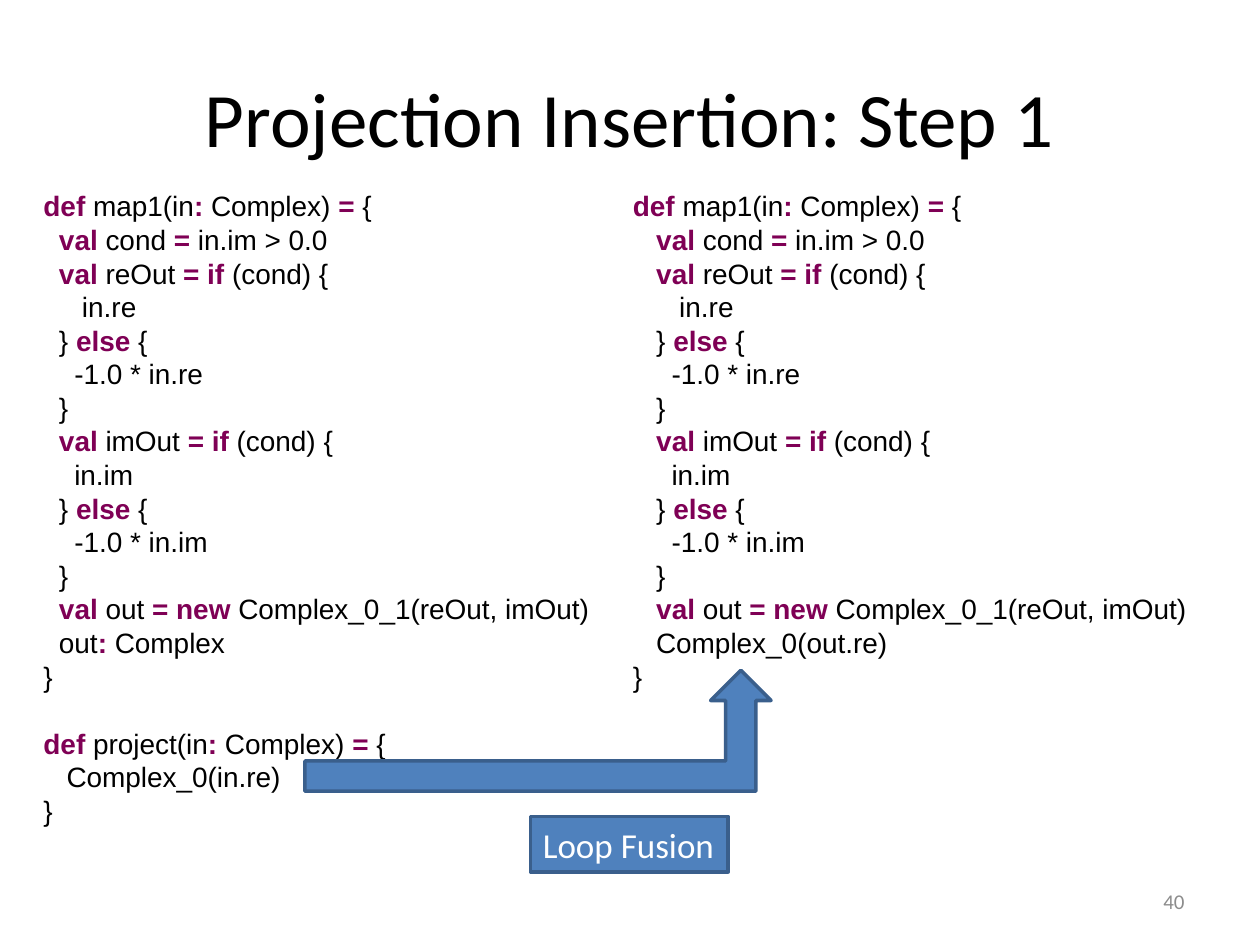
from pptx import Presentation
from pptx import util as u
from pptx.dml.color import RGBColor
from pptx.enum import shapes, text

TITLE = "Projection Insertion: Step 1"
NUMBER = "40"
LABEL = "Loop Fusion"
MARK = "|"

HEAD = "|def |map1(in|:| Complex) |=| {"
BODY = [
    "      |val |cond |=| in.im > 0.0",
    "      |val |reOut |= if| (cond) {",
    "         in.re",
    "      } |else |{",
    "        -1.0 * in.re",
    "      }",
    "      |val |imOut |= if| (cond) {",
    "        in.im",
    "      } |else |{",
    "        -1.0 * in.im",
    "      }",
    "      |val| out |= new| Complex_0_1(reOut, imOut)",
]
MAP = ["    " + HEAD, *BODY, "      out|: |Complex", "    }"]
PROJECT = [
    "    |def |project(in|:| Complex) |=| {",
    "       Complex_0(in.re)",
    "    }",
]
FUSED = ["   " + HEAD, *BODY, "      Complex_0(out.re)", "   }"]

LISTINGS = [
    ((0, 1.45, 4.85, 5.42), [MAP, PROJECT]),
    ((4.74, 1.45, 4.85, 4.21), [FUSED]),
]

THEME = {
    "title": {"name": "Calibri", "size": 44, "color": "000000"},
    "number": {"name": "Calibri", "size": 12, "color": "8C8C8C"},
    "code": {"name": "Arial", "size": 16, "color": "000000", "bold": False},
    "keyword": {"name": "Arial", "size": 16, "color": "7F0055", "bold": True},
    "label": {"name": "Calibri", "size": 20, "color": "FFFFFF"},
    "fill": "4F81BD",
    "line": "3A5F8C",
    "line_width": 2,
    "code_pitch": 19.2,
}


def add_run(p, words, style):
    r = p.add_run()
    r.text = words
    for key, value in THEME[style].items():
        if key == "color":
            r.font.color.rgb = RGBColor.from_string(value)
        else:
            setattr(r.font, key, u.Pt(value) if key == "size" else value)


def add_box(s, at):
    tf = s.shapes.add_textbox(*map(u.Inches, at)).text_frame
    tf.word_wrap = True
    return tf


def add_line(s, at, words, style, align):
    tf = add_box(s, at)
    tf.vertical_anchor = text.MSO_ANCHOR.MIDDLE
    p = tf.paragraphs[0]
    p.alignment = align
    add_run(p, words, style)


def add_listing(s, at, functions):
    tf = add_box(s, at)
    pitch = u.Pt(THEME["code_pitch"])
    for f, lines in enumerate(functions):
        for n, line in enumerate(lines):
            p = tf.add_paragraph() if f or n else tf.paragraphs[0]
            p.line_spacing = pitch
            p.space_before = pitch if f and not n else u.Pt(0)
            for i, part in enumerate(line.split(MARK)):
                if part:
                    add_run(p, part, "keyword" if i % 2 else "code")


def add_block(s, kind, at):
    sp = s.shapes.add_shape(kind, *map(u.Inches, at))
    sp.shadow.inherit = False
    sp.fill.solid()
    sp.fill.fore_color.rgb = RGBColor.from_string(THEME["fill"])
    sp.line.color.rgb = RGBColor.from_string(THEME["line"])
    sp.line.width = u.Pt(THEME["line_width"])
    return sp


def main():
    prs = Presentation()
    prs.slide_width, prs.slide_height = u.Inches(10), u.Inches(7.5)
    s = prs.slides.add_slide(prs.slide_layouts[6])
    add_line(s, (0.5, 0.3, 9, 1.25), TITLE, "title", text.PP_ALIGN.CENTER)
    add_line(s, (7.17, 6.95, 2.33, 0.4), NUMBER, "number", text.PP_ALIGN.RIGHT)
    for at, functions in LISTINGS:
        add_listing(s, at, functions)
    add_block(s, shapes.MSO_SHAPE.BENT_UP_ARROW, (2.42, 5.32, 3.7, 0.96))
    tf = add_block(s, shapes.MSO_SHAPE.RECTANGLE, (4.21, 6.48, 1.57, 0.44)).text_frame
    tf.word_wrap = False
    p = tf.paragraphs[0]
    p.alignment = text.PP_ALIGN.LEFT
    add_run(p, LABEL, "label")
    prs.save("out.pptx")


if __name__ == "__main__":
    main()
